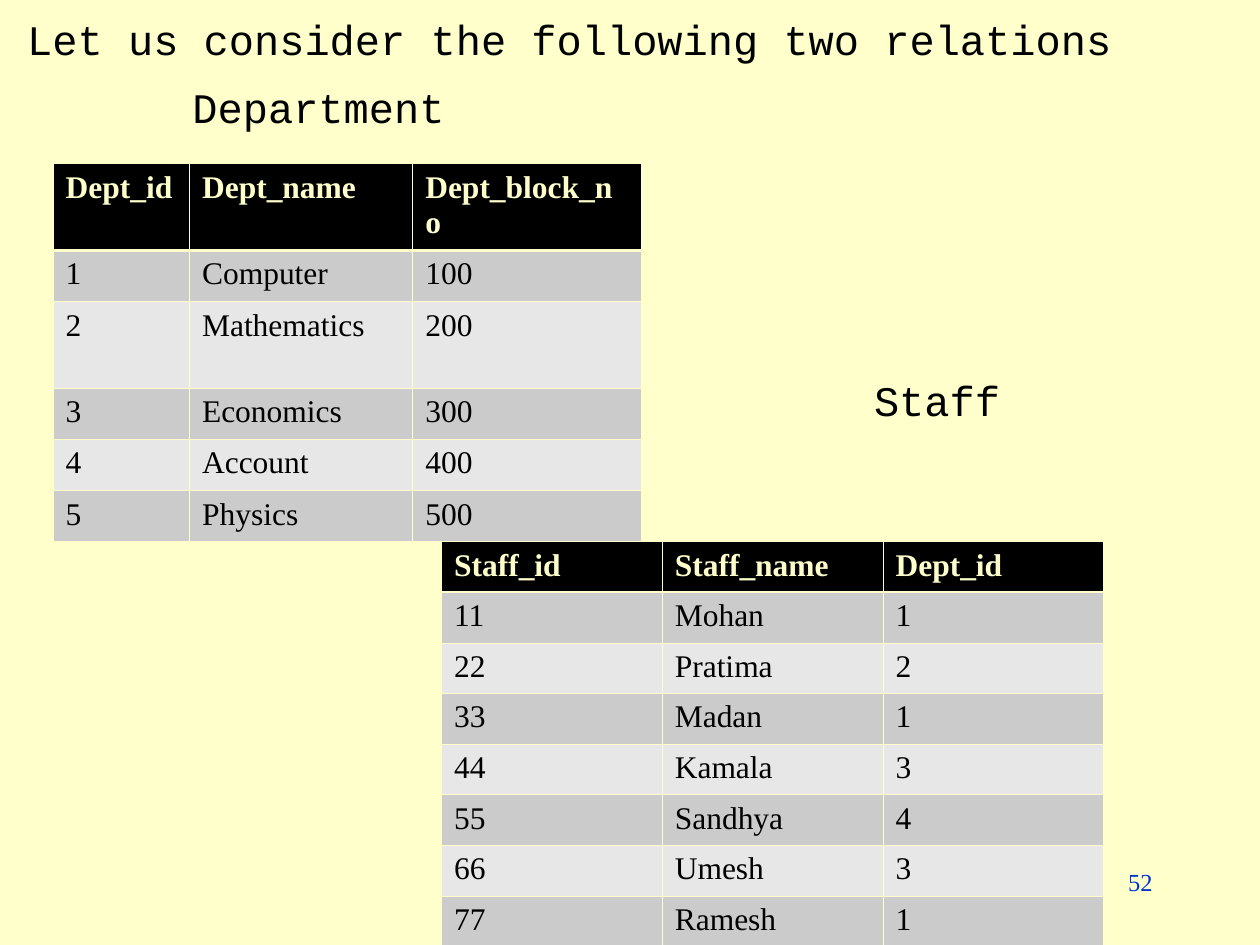
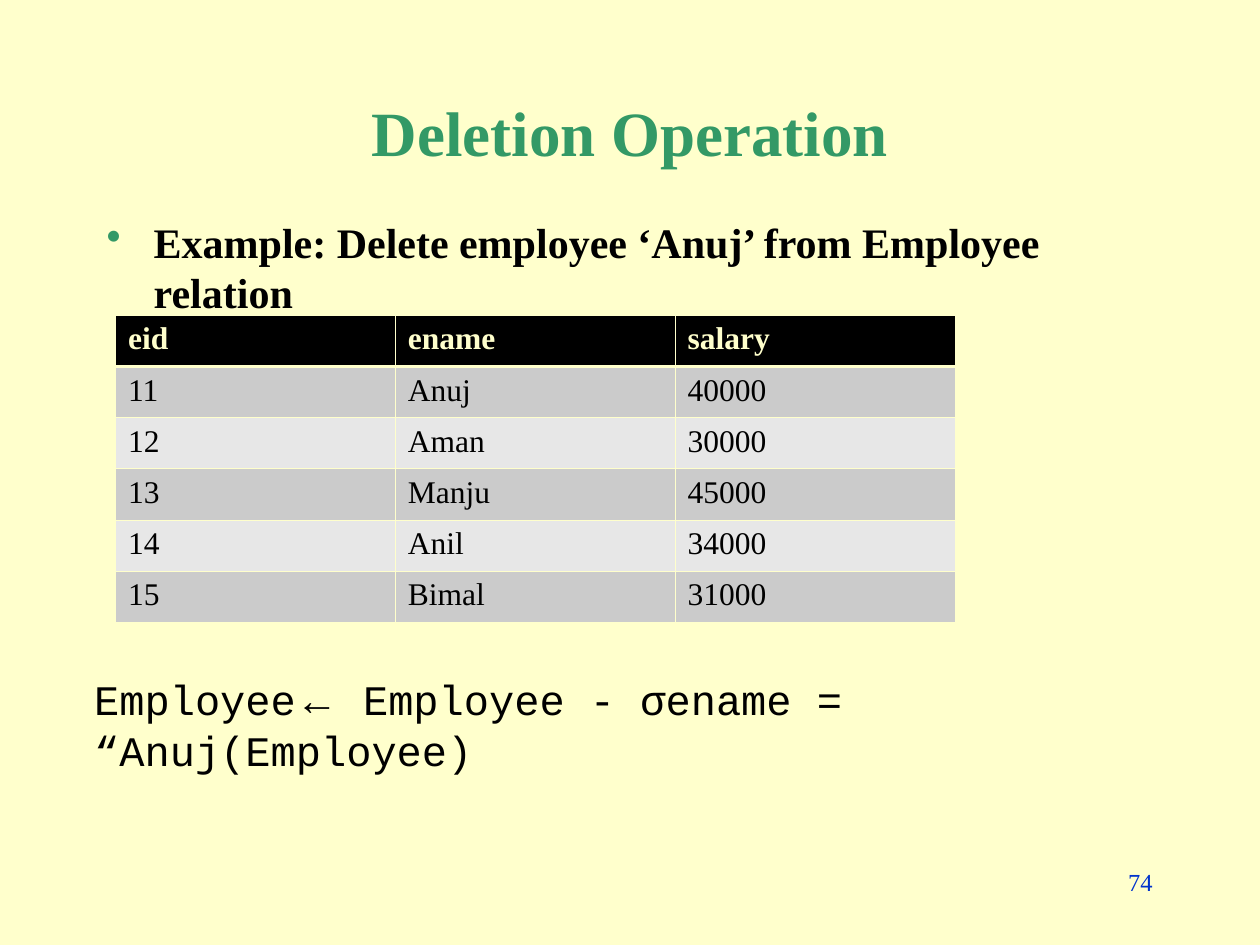
from dataclasses import dataclass

from lxml import etree
from pptx import Presentation
from pptx import util as u
from pptx.dml.color import RGBColor
from pptx.enum import text
from pptx.oxml import ns

CREAM = RGBColor(0xFF, 0xFF, 0xCC)
BLACK = RGBColor(0x00, 0x00, 0x00)
GREEN = RGBColor(0x33, 0x99, 0x66)
BLUE = RGBColor(0x00, 0x33, 0xCC)
BANDS = (RGBColor(0xE7, 0xE7, 0xE7), RGBColor(0xCB, 0xCB, 0xCB))

SERIF = "Times New Roman"
MONO = "Courier New"
THIN, THICK = u.Pt(0.45), u.Pt(1.47)
LEFT = text.PP_ALIGN.LEFT


@dataclass
class Run:
    text: str
    font: str = MONO
    size: int = 24
    color: RGBColor = BLACK
    bold: bool = False


@dataclass
class Label:
    left: float
    top: float
    width: float
    height: float
    runs: list[Run]
    wrap: bool = False
    align: text.PP_ALIGN = LEFT
    anchor: text.MSO_ANCHOR = text.MSO_ANCHOR.TOP
    bullet: bool = False


@dataclass
class Relation:
    left: float
    top: float
    widths: list[float]
    heights: list[float]
    rows: list[tuple[str, ...]]


def add_run(p, run: Run) -> None:
    r = p.add_run()
    r.text = run.text
    r.font.name = run.font
    r.font.size = u.Pt(run.size)
    r.font.bold = run.bold
    r.font.color.rgb = run.color


def add_bullet(p) -> None:
    pPr = p._p.get_or_add_pPr()
    pPr.set("marL", str(u.Cm(0.95)))
    pPr.set("indent", str(-u.Cm(0.95)))
    color = etree.SubElement(pPr, ns.qn("a:buClr"))
    etree.SubElement(color, ns.qn("a:srgbClr"), val=str(GREEN))
    etree.SubElement(pPr, ns.qn("a:buChar"), char="•")


def add_label(slide, label: Label) -> None:
    sp = slide.shapes.add_textbox(
        u.Cm(label.left), u.Cm(label.top), u.Cm(label.width), u.Cm(label.height))
    tf = sp.text_frame
    tf.word_wrap = label.wrap
    tf.auto_size = (text.MSO_AUTO_SIZE.NONE if label.wrap
                    else text.MSO_AUTO_SIZE.SHAPE_TO_FIT_TEXT)
    tf.vertical_anchor = label.anchor
    p = tf.paragraphs[0]
    p.alignment = label.align
    if label.bullet:
        add_bullet(p)
    for run in label.runs:
        add_run(p, run)


def add_borders(cell, row: int) -> None:
    tcPr = cell._tc.get_or_add_tcPr()
    widths = {"L": THIN, "R": THIN,
              "T": THICK if row == 1 else THIN,
              "B": THICK if row == 0 else THIN}
    for side, width in widths.items():
        line = etree.SubElement(tcPr, ns.qn(f"a:ln{side}"), w=str(width))
        fill = etree.SubElement(line, ns.qn("a:solidFill"))
        etree.SubElement(fill, ns.qn("a:srgbClr"), val=str(CREAM))


def add_relation(slide, relation: Relation) -> None:
    table = slide.shapes.add_table(
        len(relation.rows), len(relation.widths),
        u.Cm(relation.left), u.Cm(relation.top),
        u.Cm(sum(relation.widths)), u.Cm(sum(relation.heights))).table
    table.horz_banding = False
    for column, width in zip(table.columns, relation.widths):
        column.width = u.Cm(width)
    for i, values in enumerate(relation.rows):
        table.rows[i].height = u.Cm(relation.heights[i])
        header = i == 0
        for j, value in enumerate(values):
            cell = table.cell(i, j)
            add_borders(cell, i)
            cell.fill.solid()
            cell.fill.fore_color.rgb = BLACK if header else BANDS[i % 2]
            color = CREAM if header else BLACK
            add_run(cell.text_frame.paragraphs[0],
                    Run(value, SERIF, 18, color, header))


def add_slide(prs, number: int, items: list[Label | Relation]) -> None:
    slide = prs.slides.add_slide(prs.slide_layouts[6])
    slide.background.fill.solid()
    slide.background.fill.fore_color.rgb = CREAM
    page = Label(18.21, 17.35, 5.28, 1.27, [Run(str(number), SERIF, 14, BLUE)],
                 wrap=True, align=text.PP_ALIGN.RIGHT)
    for item in [page, *items]:
        if isinstance(item, Relation):
            add_relation(slide, item)
        else:
            add_label(slide, item)


DEPARTMENT = Relation(1.07, 3.3, [2.75, 4.5, 4.6],
                      [1.75, 1.03, 1.75, 1.03, 1.03, 1.03], [
    ("Dept_id", "Dept_name", "Dept_block_no"),
    ("1", "Computer", "100"),
    ("2", "Mathematics", "200"),
    ("3", "Economics", "300"),
    ("4", "Account", "400"),
    ("5", "Physics", "500"),
])

STAFF = Relation(8.9, 10.92, [4.45] * 3, [1.02] * 8, [
    ("Staff_id", "Staff_name", "Dept_id"),
    ("11", "Mohan", "1"),
    ("22", "Pratima", "2"),
    ("33", "Madan", "1"),
    ("44", "Kamala", "3"),
    ("55", "Sandhya", "4"),
    ("66", "Umesh", "3"),
    ("77", "Ramesh", "1"),
])

EMPLOYEE = Relation(2.33, 6.36, [5.64] * 3, [1.03] * 6, [
    ("eid", "ename", "salary"),
    ("11", "Anuj", "40000"),
    ("12", "Aman", "30000"),
    ("13", "Manju", "45000"),
    ("14", "Anil", "34000"),
    ("15", "Bimal", "31000"),
])


def main() -> None:
    prs = Presentation()
    prs.slide_width, prs.slide_height = u.Cm(25.4), u.Cm(19.05)

    add_slide(prs, 52, [
        DEPARTMENT,
        STAFF,
        Label(3.63, 1.52, 5.59, 1.27, [Run("Department")]),
        Label(17.37, 7.42, 3.56, 1.27, [Run("Staff")]),
        Label(0.3, 0.15, 22.35, 2.29,
              [Run("Let us consider the following two relations")]),
    ])

    add_slide(prs, 74, [
        Label(1.9, 1.7, 21.6, 1.9,
              [Run("Deletion Operation", SERIF, 36, GREEN, True)],
              wrap=True, align=text.PP_ALIGN.CENTER,
              anchor=text.MSO_ANCHOR.MIDDLE),
        Label(1.9, 4.24, 21.6, 12.7,
              [Run("Example: Delete employee ‘Anuj’ from Employee relation",
                   SERIF, bold=True)],
              wrap=True, bullet=True),
        EMPLOYEE,
        Label(1.65, 13.46, 23.7, 1.27, [
            Run("Employee"),
            Run("←", "Arial"),
            Run(" Employee - σename = “Anuj(Employee)"),
        ]),
    ])

    prs.save("out.pptx")


if __name__ == "__main__":
    main()
